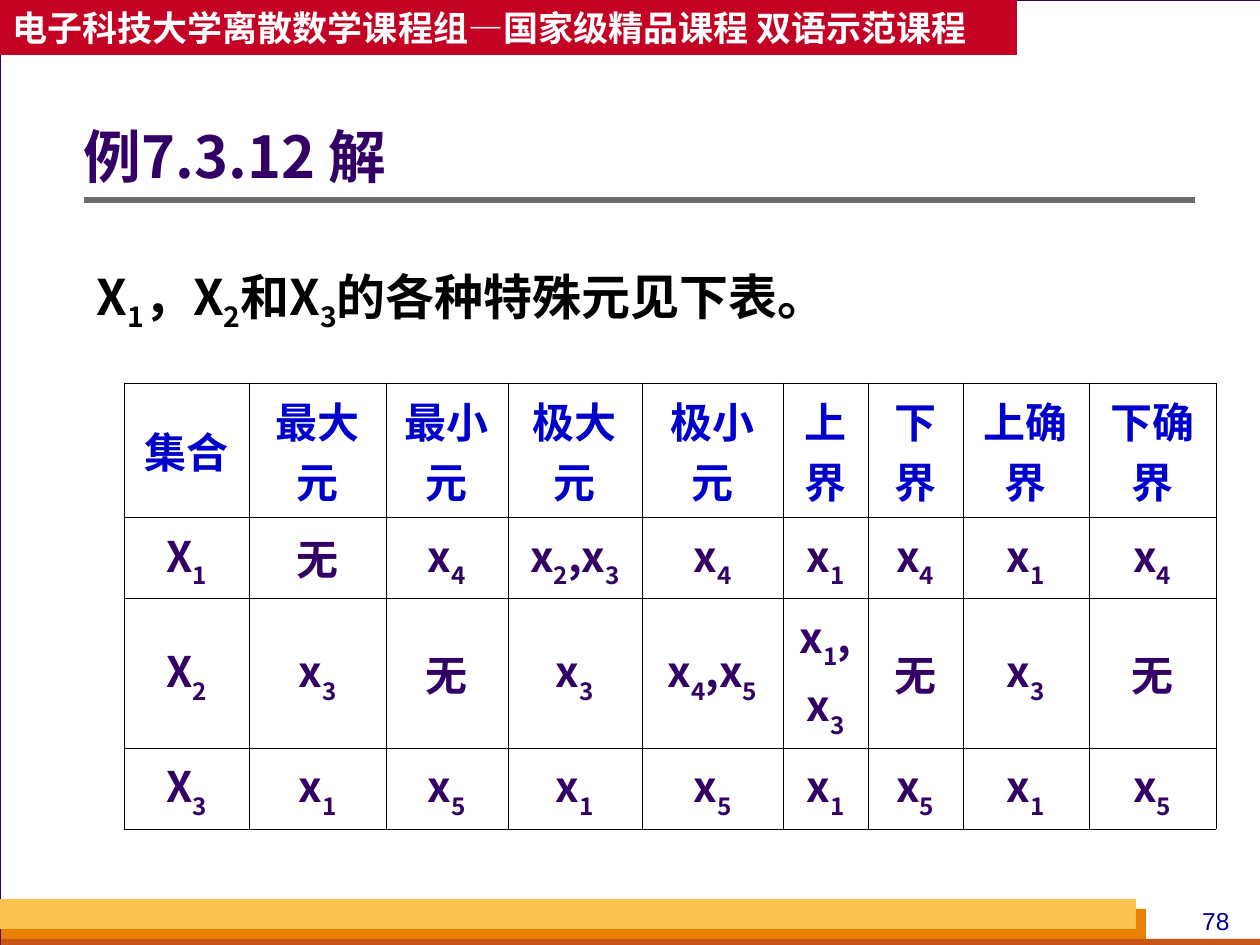
from dataclasses import dataclass
from typing import Optional

import pptx
import pptx.dml.color
import pptx.enum.shapes
import pptx.enum.text
import pptx.oxml
import pptx.oxml.ns
import pptx.util
from lxml import etree

EMU_PER_PX = 914400 / 126
ALIGN = pptx.enum.text.PP_ALIGN
ANCHOR = pptx.enum.text.MSO_ANCHOR


@dataclass(frozen=True)
class Theme:
    cjk: str = "Noto Sans CJK SC"
    latin: str = "Arial"
    backdrop: str = "D8DADA"
    white: str = "FFFFFF"
    black: str = "000000"
    purple: str = "330066"
    blue: str = "0000CC"
    navy: str = "000099"
    red: str = "C30224"
    gold: str = "FCC24F"
    orange: str = "E88000"
    rust: str = "C95616"
    grey: str = "6B6B6B"
    banner_size: int = 20
    title_size: int = 33
    body_size: int = 28
    table_size: int = 24
    number_size: int = 14


THEME = Theme()


@dataclass(frozen=True)
class Box:
    left: int
    top: int
    width: int
    height: int

    def emu(self) -> list[int]:
        return [px(n) for n in (self.left, self.top, self.width, self.height)]


@dataclass(frozen=True)
class Band:
    box: Box
    fill: str
    outline: Optional[str] = None


@dataclass(frozen=True)
class Style:
    size: int
    color: str
    font: str = THEME.cjk
    bold: bool = True
    align: ALIGN = ALIGN.LEFT
    spacing: float = 1.0
    subscript: int = -25


@dataclass(frozen=True)
class Label:
    box: Box
    text: str
    style: Style
    anchor: ANCHOR = ANCHOR.TOP
    inset_left: int = 13


def px(length: int) -> int:
    return round(length * EMU_PER_PX)


def rgb(color: str) -> pptx.dml.color.RGBColor:
    return pptx.dml.color.RGBColor.from_string(color)


def add_run(paragraph, text: str, style: Style, lowered: bool = False) -> None:
    run = paragraph.add_run()
    run.text = text
    run.font.name = style.font
    run.font.size = pptx.util.Pt(style.size)
    run.font.bold = style.bold
    run.font.color.rgb = rgb(style.color)
    properties = run.font._element
    east_asian = etree.SubElement(properties, pptx.oxml.ns.qn("a:ea"))
    east_asian.set("typeface", style.font)
    if lowered:
        properties.set("baseline", str(style.subscript * 1000))


def write_text(frame, text: str, style: Style) -> None:
    """Write one paragraph; the character after each underscore is a subscript."""
    paragraph = frame.paragraphs[0]
    paragraph.alignment = style.align
    paragraph.line_spacing = style.spacing
    first, *others = text.split("_")
    add_run(paragraph, first, style)
    for part in others:
        add_run(paragraph, part[0], style, lowered=True)
        if part[1:]:
            add_run(paragraph, part[1:], style)


def add_band(slide, band: Band):
    shape = slide.shapes.add_shape(pptx.enum.shapes.MSO_SHAPE.RECTANGLE, *band.box.emu())
    shape.shadow.inherit = False
    shape.fill.solid()
    shape.fill.fore_color.rgb = rgb(band.fill)
    if band.outline:
        shape.line.color.rgb = rgb(band.outline)
        shape.line.width = pptx.util.Pt(0.75)
    else:
        shape.line.fill.background()
    return shape


def add_label(slide, label: Label) -> None:
    frame = slide.shapes.add_textbox(*label.box.emu()).text_frame
    frame.word_wrap = True
    frame.vertical_anchor = label.anchor
    frame.margin_left = px(label.inset_left)
    write_text(frame, label.text, label.style)


def add_rule(slide, left: int, right: int, y: int) -> None:
    rule = slide.shapes.add_connector(
        pptx.enum.shapes.MSO_CONNECTOR.STRAIGHT, px(left), px(y), px(right), px(y))
    rule.line.color.rgb = rgb(THEME.grey)
    rule.line.width = pptx.util.Pt(3)
    etree.SubElement(rule._element.spPr, pptx.oxml.ns.qn("a:effectLst"))


def add_borders(cell) -> None:
    properties = cell._tc.get_or_add_tcPr()
    for side in ("lnL", "lnR", "lnT", "lnB"):
        properties.append(pptx.oxml.parse_xml(
            f'<a:{side} {pptx.oxml.ns.nsdecls("a")} w="{pptx.util.Pt(0.45)}"><a:solidFill>'
            f'<a:srgbClr val="{THEME.black}"/></a:solidFill></a:{side}>'))


def add_elements_table(slide) -> None:
    widths, heights = COLUMN_WIDTHS, ROW_HEIGHTS
    box = Box(124, 383, sum(widths), sum(heights))
    table = slide.shapes.add_table(len(heights), len(widths), *box.emu()).table
    table.first_row = table.horz_banding = False
    for column, width in zip(table.columns, widths):
        column.width = px(width)
    for row, height in zip(table.rows, heights):
        row.height = px(height)
    for row_index, texts in enumerate(ELEMENT_ROWS):
        style = CELL_STYLE if row_index else HEADER_STYLE
        for column_index, text in enumerate(texts):
            cell = table.cell(row_index, column_index)
            add_borders(cell)
            cell.fill.background()
            cell.vertical_anchor = ANCHOR.MIDDLE
            write_text(cell.text_frame, text, style)


# Page frame and footer bands, back to front
BANDS = [
    Band(Box(0, 0, 1261, 945), THEME.white, THEME.purple),
    Band(Box(1, 909, 1145, 36), THEME.orange),
    Band(Box(1, 939, 1260, 10), THEME.rust),
    Band(Box(0, 899, 1136, 30), THEME.gold),
]
BANNER = Band(Box(0, 0, 1017, 55), THEME.red)
BANNER_TEXT = "电子科技大学离散数学课程组—国家级精品课程 双语示范课程"

# Text of the slide
LABELS = [
    Label(Box(1176, 900, 79, 43), "78",
          Style(THEME.number_size, THEME.navy, THEME.latin, False, ALIGN.CENTER)),
    Label(Box(84, 96, 1111, 127), "例7.3.12 解",
          Style(THEME.title_size, THEME.purple, spacing=0.9), ANCHOR.MIDDLE, 0),
    Label(Box(84, 247, 1111, 632), "X_1，X_2和X_3的各种特殊元见下表。",
          Style(THEME.body_size, THEME.black, spacing=1.2)),
]

# Table of special elements
HEADER_STYLE = Style(THEME.table_size, THEME.blue, align=ALIGN.CENTER, subscript=-30)
CELL_STYLE = Style(THEME.table_size, THEME.purple, align=ALIGN.CENTER, subscript=-30)
COLUMN_WIDTHS = [125, 137, 122, 134, 141, 85, 95, 126, 127]
ROW_HEIGHTS = [134, 81, 150, 81]
ELEMENT_ROWS = [
    ["集合", "最大元", "最小元", "极大元", "极小元", "上界", "下界", "上确界", "下确界"],
    ["X_1", "无", "x_4", "x_2,x_3", "x_4", "x_1", "x_4", "x_1", "x_4"],
    ["X_2", "x_3", "无", "x_3", "x_4,x_5", "x_1,x_3", "无", "x_3", "无"],
    ["X_3"] + ["x_1", "x_5"] * 4,
]


def main() -> None:
    presentation = pptx.Presentation()
    presentation.slide_width, presentation.slide_height = px(1260), px(945)
    slide = presentation.slides.add_slide(presentation.slide_layouts[6])
    slide.background.fill.solid()
    slide.background.fill.fore_color.rgb = rgb(THEME.backdrop)
    for band in BANDS:
        add_band(slide, band)
    add_rule(slide, 84, 1195, 200)
    banner = add_band(slide, BANNER).text_frame
    banner.word_wrap = False
    banner.vertical_anchor = ANCHOR.MIDDLE
    write_text(banner, BANNER_TEXT, Style(THEME.banner_size, THEME.white))
    for label in LABELS:
        add_label(slide, label)
    add_elements_table(slide)
    presentation.save("out.pptx")


if __name__ == "__main__":
    main()
